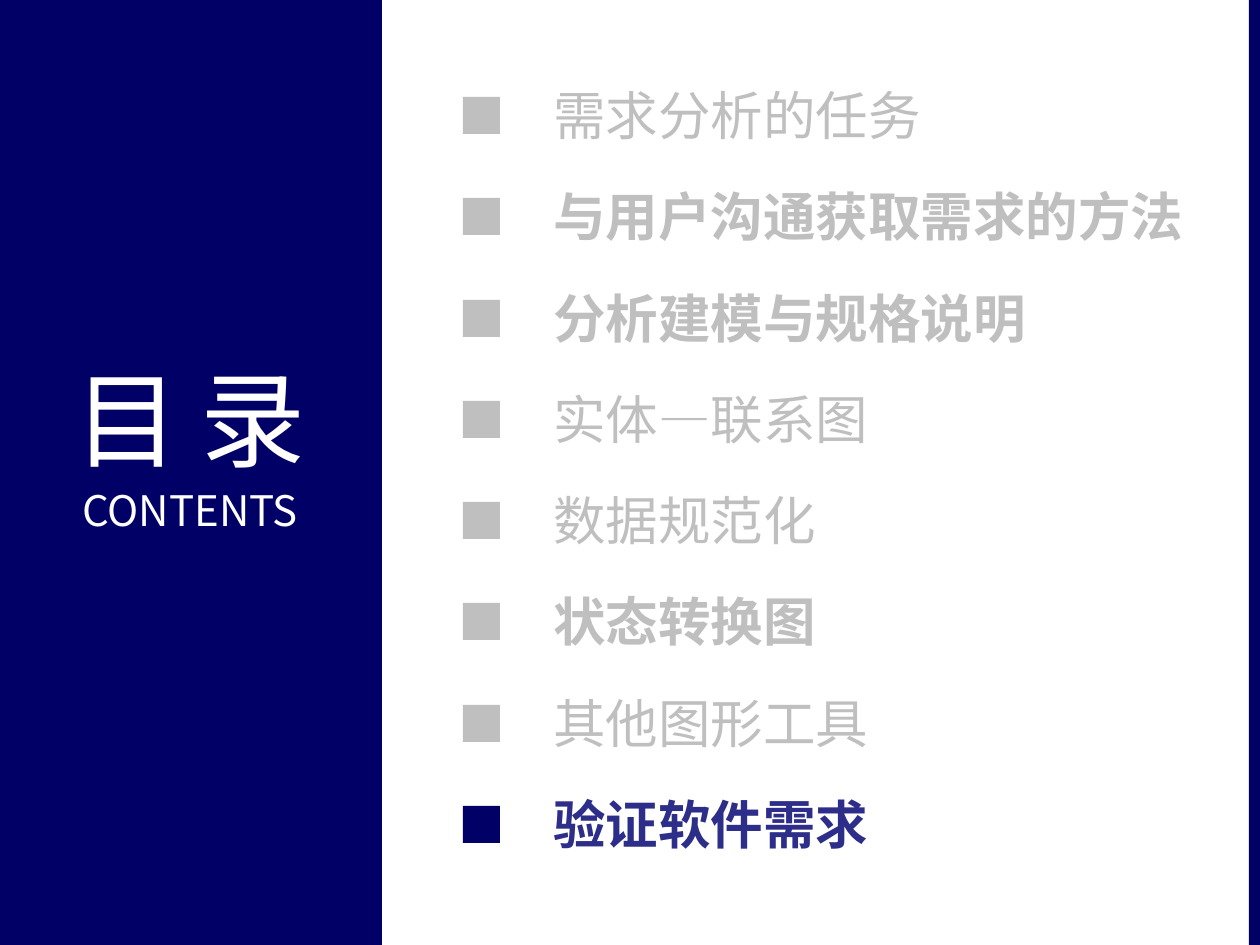
from lxml.etree import SubElement
from pptx import Presentation
from pptx.dml.color import RGBColor
from pptx.enum.shapes import MSO_SHAPE
from pptx.enum.text import MSO_ANCHOR, MSO_AUTO_SIZE, PP_ALIGN
from pptx.oxml.ns import qn
from pptx.util import Emu, Pt

PX = 914400 // 126
WIDTH, HEIGHT = 1260, 945
FONT = "Noto Sans CJK SC"
NAVY, GREY, INDIGO, WHITE = "000066", "BFBFBF", "2D2D8A", "FFFFFF"

# topic, bold
TOPICS = [
    ("需求分析的任务", False),
    ("与用户沟通获取需求的方法", True),
    ("分析建模与规格说明", True),
    ("实体—联系图", False),
    ("数据规范化", False),
    ("状态转换图", True),
    ("其他图形工具", False),
    ("验证软件需求", True),
]
CURRENT = "验证软件需求"
FIRST_TOP, LAST_TOP = 76, 785
MARKER_LEFT, MARKER_SIZE, MARKER_DROP = 463, 37, 21
TOPIC_LEFT, TOPIC_WIDTH, TOPIC_HEIGHT = 541, 711, 77
SIDE_LEFT, SIDE_WIDTH = -2, 384


def px(*lengths):
    return [Emu(length * PX) for length in lengths]


def color(hex_string):
    return RGBColor.from_string(hex_string)


def add_rectangle(slide, left, top, width, height, fill):
    shape = slide.shapes.add_shape(MSO_SHAPE.RECTANGLE, *px(left, top, width, height))
    shape.shadow.inherit = False
    shape.fill.solid()
    shape.fill.fore_color.rgb = color(fill)
    shape.line.fill.background()


def prepare_frame(shape, anchor):
    frame = shape.text_frame
    frame.word_wrap = True
    frame.auto_size = MSO_AUTO_SIZE.NONE
    frame.vertical_anchor = anchor
    frame.margin_top = frame.margin_bottom = 0
    return frame


def write(paragraph, text, size, fill, bold=False, align=PP_ALIGN.LEFT, before=0, tracking=0):
    paragraph.alignment = align
    paragraph.space_before = Pt(before)
    run = paragraph.add_run()
    run.text = text
    run.font.size = Pt(size)
    run.font.bold = bold
    run.font.color.rgb = color(fill)
    run.font.name = FONT
    properties = run.font._element
    properties.set("spc", str(tracking * 100))
    SubElement(properties, qn("a:ea")).set("typeface", FONT)


def add_title(slide):
    title = slide.shapes.title
    title.left, title.top, title.width, title.height = px(SIDE_LEFT, 355, SIDE_WIDTH, 217)
    frame = prepare_frame(title, MSO_ANCHOR.TOP)
    write(frame.paragraphs[0], "目录", 60, WHITE, align=PP_ALIGN.CENTER, tracking=12)
    write(frame.add_paragraph(), "CONTENTS", 24, WHITE, align=PP_ALIGN.CENTER, before=2)


def add_topics(slide):
    pitch = (LAST_TOP - FIRST_TOP) / (len(TOPICS) - 1)
    for index, (topic, bold) in enumerate(TOPICS):
        top = round(FIRST_TOP + index * pitch)
        marker_fill, text_fill = (NAVY, INDIGO) if topic == CURRENT else (GREY, GREY)
        add_rectangle(slide, MARKER_LEFT, top + MARKER_DROP, MARKER_SIZE, MARKER_SIZE, marker_fill)
        box = slide.shapes.add_textbox(*px(TOPIC_LEFT, top, TOPIC_WIDTH, TOPIC_HEIGHT))
        frame = prepare_frame(box, MSO_ANCHOR.MIDDLE)
        write(frame.paragraphs[0], topic, 30, text_fill, bold=bold)


def main():
    presentation = Presentation()
    presentation.slide_width, presentation.slide_height = px(WIDTH, HEIGHT)
    slide = presentation.slides.add_slide(presentation.slide_layouts[5])
    add_rectangle(slide, SIDE_LEFT, 0, SIDE_WIDTH, HEIGHT, NAVY)
    add_rectangle(slide, 1249, 0, 11, HEIGHT, NAVY)
    # The title placeholder comes first, so lift it above the side panel.
    slide.shapes._spTree.append(slide.shapes.title._element)
    add_title(slide)
    add_topics(slide)
    presentation.save("out.pptx")


if __name__ == "__main__":
    main()
